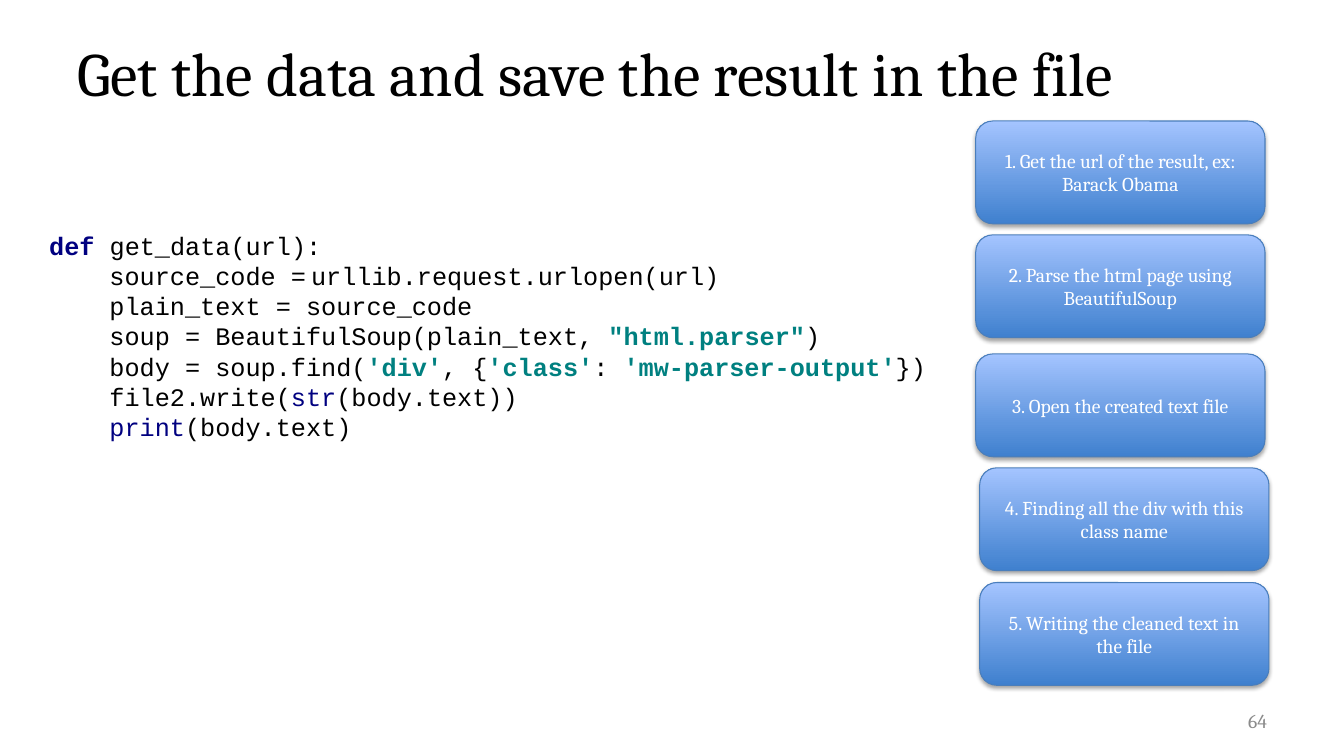
import pptx
import pptx.util
import pptx.dml.color
import pptx.enum.shapes
import pptx.enum.text
import pptx.oxml
import pptx.oxml.ns
from dataclasses import dataclass
from lxml import etree

Cm = pptx.util.Cm
Pt = pptx.util.Pt
ALIGN = pptx.enum.text.PP_ALIGN
ANCHOR = pptx.enum.text.MSO_ANCHOR
SHAPE = pptx.enum.shapes.MSO_SHAPE


@dataclass(frozen=True)
class Theme:
    serif: str = "Cambria"
    mono: str = "Courier New"
    title: int = 44
    code: int = 18
    small: int = 14
    black: str = "000000"
    white: str = "FFFFFF"
    grey: str = "8B8B8B"
    navy: str = "000080"
    teal: str = "008080"
    edge: str = "4A7EBB"
    deep: str = "3F80CE"
    light: str = "A4C4FF"


STEPS = [
    (24.59, 3.05, "1. Get the url of the result, ex: Barack Obama"),
    (24.59, 5.92, "2. Parse the html page using BeautifulSoup"),
    (24.59, 8.92, "3. Open the created text file"),
    (24.69, 11.79, "4. Finding all the div with this class name"),
    (24.69, 14.68, "5. Writing the cleaned text in the file"),
]

CODE = [
    [("def ", "key"), ("get_data(url):", "plain")],
    [("source_code =\turllib.request.urlopen(url)", "plain")],
    [("plain_text = source_code", "plain")],
    [("soup = BeautifulSoup(plain_text, ", "plain"),
     ('"html.parser"', "text"), (")", "plain")],
    [("body = soup.find(", "plain"), ("'div'", "text"), (", {", "plain"),
     ("'class'", "text"), (": ", "plain"),
     ("'mw-parser-output'", "text"), ("})", "plain")],
    [("file2.write(", "plain"), ("str", "call"), ("(body.text))", "plain")],
    [("print", "call"), ("(body.text)", "plain")],
]


def rgb(value):
    return pptx.dml.color.RGBColor.from_string(value)


class Page:
    """Draw styled elements on one slide."""

    def __init__(self, deck, theme):
        self.theme = theme
        self.slide = deck.slides.add_slide(deck.slide_layouts[5])

    def style(self, run, size, color, face=None, bold=False):
        font = run.font
        font.name = face or self.theme.serif
        font.size = Pt(size)
        font.bold = bold
        font.color.rgb = rgb(color)

    def letter(self, shape, text, size, color, align, anchor):
        frame = shape.text_frame
        frame.word_wrap = True
        frame.auto_size = pptx.enum.text.MSO_AUTO_SIZE.NONE
        frame.vertical_anchor = anchor
        frame.text = text
        line = frame.paragraphs[0]
        line.alignment = align
        self.style(line.runs[0], size, color)

    def title(self, text, left, top, width, height):
        shape = self.slide.shapes.title
        shape.left, shape.top = Cm(left), Cm(top)
        shape.width, shape.height = Cm(width), Cm(height)
        self.letter(shape, text, self.theme.title, self.theme.black,
                    ALIGN.LEFT, ANCHOR.TOP)

    def label(self, text, left, top, width, height):
        box = self.slide.shapes.add_textbox(
            Cm(left), Cm(top), Cm(width), Cm(height))
        self.letter(box, text, self.theme.small, self.theme.grey,
                    ALIGN.RIGHT, ANCHOR.MIDDLE)

    def shade(self, shape):
        shape.shadow.inherit = False
        effects = shape._element.spPr.find(pptx.oxml.ns.qn("a:effectLst"))
        effects.append(pptx.oxml.parse_xml(
            f'<a:outerShdw {pptx.oxml.ns.nsdecls("a")} blurRad="{Pt(3.1)}" '
            f'dist="{Pt(1.8)}" dir="5400000" rotWithShape="0">'
            f'<a:srgbClr val="{self.theme.black}"><a:alpha val="35000"/>'
            '</a:srgbClr></a:outerShdw>'))

    def step(self, text, left, top, width, height):
        box = self.slide.shapes.add_shape(
            SHAPE.ROUNDED_RECTANGLE, Cm(left), Cm(top), Cm(width), Cm(height))
        box.fill.gradient()
        box.fill.gradient_angle = 90
        tones = (self.theme.deep, self.theme.light)
        for place, (stop, tone) in enumerate(zip(box.fill.gradient_stops, tones)):
            stop.position = place
            stop.color.rgb = rgb(tone)
        box.line.color.rgb = rgb(self.theme.edge)
        box.line.width = Pt(0.75)
        self.shade(box)
        self.letter(box, text, self.theme.small, self.theme.white,
                    ALIGN.CENTER, ANCHOR.MIDDLE)

    def indent(self, line, left, stop):
        props = line._p.get_or_add_pPr()
        props.set("marL", str(Cm(left)))
        props.set("indent", "0")
        tabs = etree.SubElement(props, pptx.oxml.ns.qn("a:tabLst"))
        etree.SubElement(tabs, pptx.oxml.ns.qn("a:tab"),
                         pos=str(Cm(stop)), algn="l")

    def code(self, lines, left, top, width, height):
        box = self.slide.shapes.add_shape(
            SHAPE.RECTANGLE, Cm(left), Cm(top), Cm(width), Cm(height))
        box.shadow.inherit = False
        box.fill.solid()
        box.fill.fore_color.rgb = rgb(self.theme.white)
        box.line.fill.background()
        frame = box.text_frame
        frame.word_wrap = True
        frame.vertical_anchor = ANCHOR.MIDDLE
        looks = {
            "plain": (self.theme.black, False),
            "key": (self.theme.navy, True),
            "call": (self.theme.navy, False),
            "text": (self.theme.teal, True),
        }
        for index, parts in enumerate(lines):
            line = frame.add_paragraph() if index else frame.paragraphs[0]
            line.alignment = ALIGN.LEFT
            if index:
                self.indent(line, 1.52, 10.16)
            for text, kind in parts:
                run = line.add_run()
                run.text = text
                color, bold = looks[kind]
                self.style(run, self.theme.code, color, self.theme.mono, bold)


def main():
    deck = pptx.Presentation()
    deck.slide_width, deck.slide_height = Cm(33.87), Cm(19.05)
    page = Page(deck, Theme())
    page.title("Get the data and save the result in the file",
               1.7, 0.76, 30.48, 3.18)
    for left, top, text in STEPS:
        page.step(text, left, top, 7.29, 2.59)
    page.label("64", 24.28, 17.65, 7.9, 1.02)
    page.code(CODE, 0.99, 5.64, 22.76, 5.64)
    deck.save("out.pptx")


if __name__ == "__main__":
    main()
